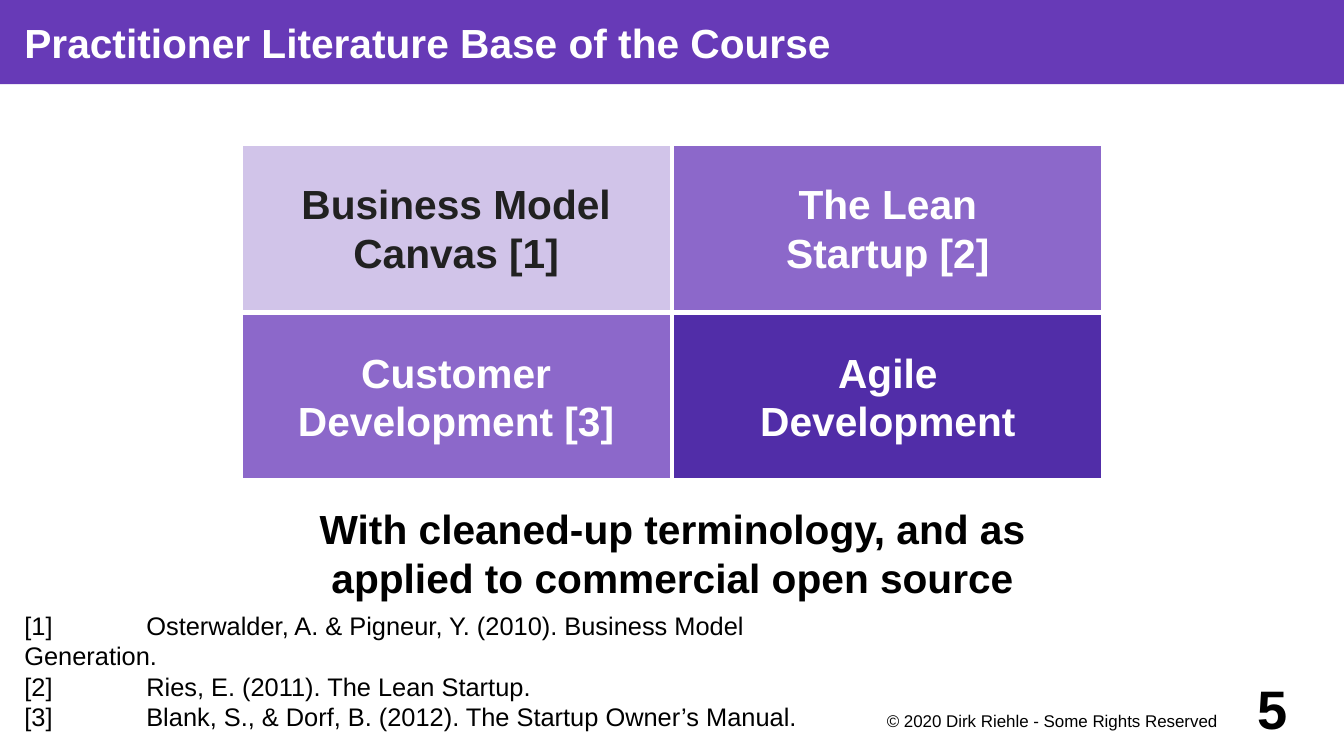
from lxml.etree import SubElement
from pptx import Presentation
from pptx.dml.color import RGBColor
from pptx.enum.shapes import MSO_SHAPE
from pptx.enum.text import MSO_ANCHOR, PP_ALIGN
from pptx.oxml.ns import qn
from pptx.util import Inches, Pt

FONT = "Arial"
COLORS = {
    "title_bar": "673AB7",
    "light": "D1C4E9",
    "medium": "8C68CA",
    "dark": "512DA8",
    "white": "FFFFFF",
    "charcoal": "212121",
    "black": "000000",
}

# Quadrant grid
GRID_LEFT, GRID_TOP = 1.97, 1.18
CELL_WIDTH, CELL_HEIGHT = 3.54, 1.38
QUADRANTS = [
    [("Business Model\nCanvas [1]", "light", "charcoal"),
     ("The Lean\nStartup [2]", "medium", "white")],
    [("Customer\nDevelopment [3]", "medium", "white"),
     ("Agile\nDevelopment", "dark", "white")],
]

REFERENCES = [
    "[1]\tOsterwalder, A. & Pigneur, Y. (2010). Business Model Generation.",
    "[2]\tRies, E. (2011). The Lean Startup.",
    "[3]\tBlank, S., & Dorf, B. (2012). The Startup Owner’s Manual.",
]


def rgb(name):
    return RGBColor.from_string(COLORS[name])


def add_tab_stop(paragraph, position):
    properties = paragraph._p.get_or_add_pPr()
    tab_list = SubElement(properties, qn("a:tabLst"))
    SubElement(tab_list, qn("a:tab"), pos=str(Inches(position)), algn="l")


def write_text(shape, paragraphs, size, color="black", bold=False,
               align=PP_ALIGN.LEFT, anchor=MSO_ANCHOR.MIDDLE,
               insets=(0, 0, 0, 0), wrap=True, tab_stop=None):
    """Fill a shape with paragraphs; a newline becomes a line break."""
    frame = shape.text_frame
    frame.word_wrap = wrap
    frame.vertical_anchor = anchor
    (frame.margin_left, frame.margin_top,
     frame.margin_right, frame.margin_bottom) = map(Inches, insets)
    for index, text in enumerate(paragraphs):
        paragraph = frame.add_paragraph() if index else frame.paragraphs[0]
        paragraph.alignment = align
        if tab_stop:
            add_tab_stop(paragraph, tab_stop)
        for line_index, line in enumerate(text.split("\n")):
            if line_index:
                paragraph.add_line_break()
            run = paragraph.add_run()
            run.text = line
            run.font.name = FONT
            run.font.size = Pt(size)
            run.font.bold = bold
            run.font.color.rgb = rgb(color)


def add_rectangle(slide, box, fill, outline=None):
    shape = slide.shapes.add_shape(MSO_SHAPE.RECTANGLE, *map(Inches, box))
    shape.shadow.inherit = False
    shape.fill.solid()
    shape.fill.fore_color.rgb = rgb(fill)
    if outline:
        shape.line.color.rgb = rgb(outline)
        shape.line.width = Pt(2.83)
    else:
        shape.line.fill.background()
    return shape


def add_label(slide, box, paragraphs, size, **style):
    shape = slide.shapes.add_textbox(*map(Inches, box))
    write_text(shape, paragraphs, size, **style)


def add_quadrants(slide):
    for row, cells in enumerate(QUADRANTS):
        for column, (text, fill, color) in enumerate(cells):
            box = (GRID_LEFT + column * CELL_WIDTH,
                   GRID_TOP + row * CELL_HEIGHT, CELL_WIDTH, CELL_HEIGHT)
            quadrant = add_rectangle(slide, box, fill, outline="white")
            write_text(quadrant, [text], 24, color=color, bold=True,
                       align=PP_ALIGN.CENTER, insets=(0.08,) * 4, wrap=False)


def main():
    presentation = Presentation()
    presentation.slide_width = Inches(11.02)
    presentation.slide_height = Inches(6.2)
    slide = presentation.slides.add_slide(presentation.slide_layouts[6])

    # Title bar
    title = add_rectangle(slide, (0, 0, 11.02, 0.69), "title_bar")
    write_text(title, ["Practitioner Literature Base of the Course"], 24,
               color="white", bold=True, insets=(0.2, 0, 0, 0))

    # Literature quadrants and the statement below them
    add_quadrants(slide)
    add_label(slide, (GRID_LEFT, 3.94, 7.09, 1.18),
              ["With cleaned-up terminology, and as "
               "applied to commercial open source"],
              24, bold=True, align=PP_ALIGN.CENTER, insets=(0.08,) * 4)

    # References
    add_label(slide, (0, 5.02, 7.09, 1.18), REFERENCES, 15,
              anchor=MSO_ANCHOR.BOTTOM, insets=(0.2,) * 4, tab_stop=1)

    # Footer and slide number
    add_label(slide, (7.09, 5.81, 3.15, 0.3),
              ["© 2020 Dirk Riehle - Some Rights Reserved"], 10,
              align=PP_ALIGN.CENTER, anchor=MSO_ANCHOR.TOP,
              insets=(0, 0.02, 0.08, 0))
    add_label(slide, (10.04, 5.51, 0.79, 0.59), ["5"], 32,
              bold=True, align=PP_ALIGN.CENTER)

    presentation.save("out.pptx")


if __name__ == "__main__":
    main()
